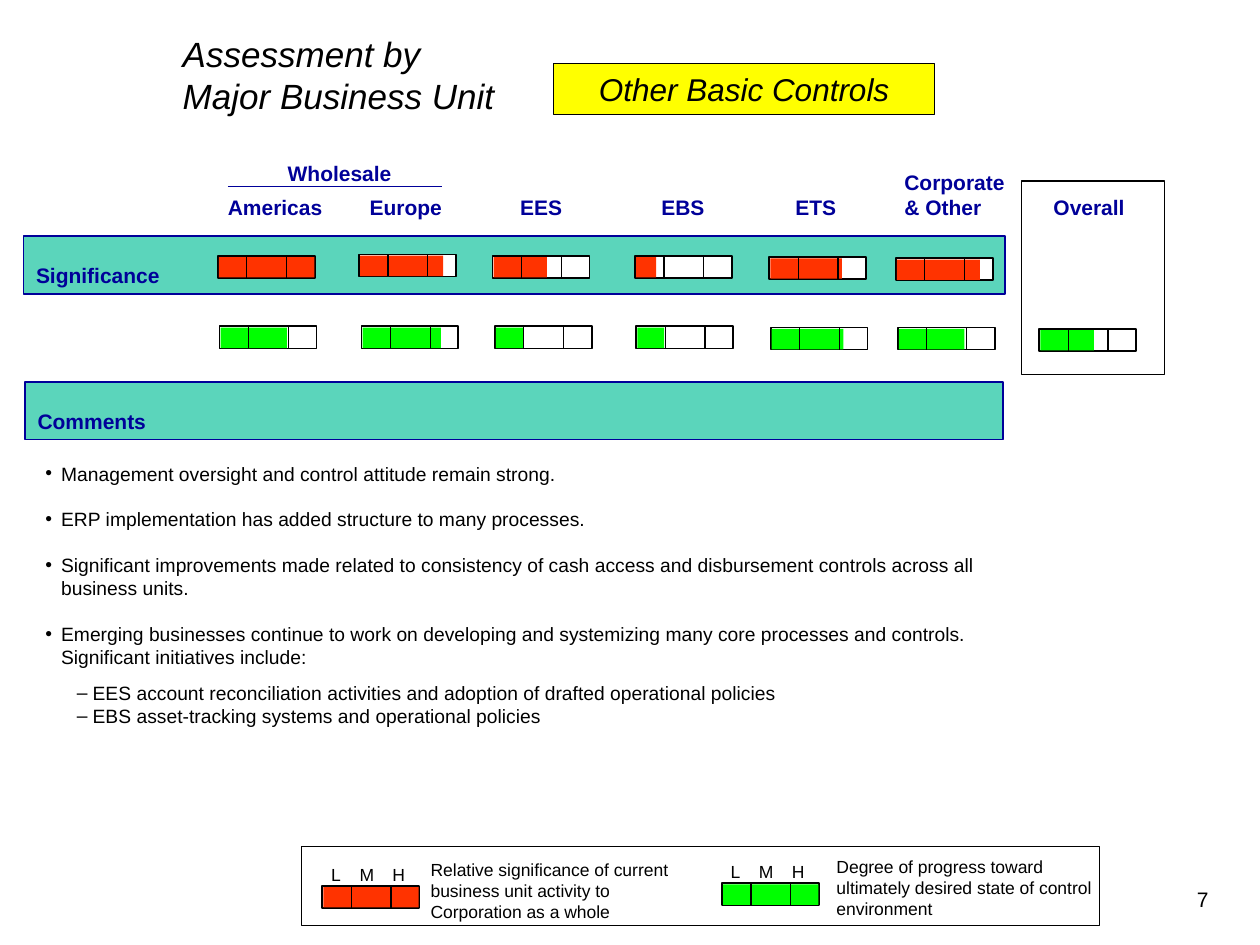
from dataclasses import dataclass

from lxml import etree
from pptx import Presentation
from pptx.dml.color import RGBColor
from pptx.enum import shapes, text
from pptx.oxml import ns
from pptx.util import Pt

COLORS = {
    "black": "000000", "white": "FFFFFF", "navy": "000099", "teal": "5BD5BB",
    "yellow": "FFFF00", "red": "FF3300", "green": "00FF00",
}
FONT = "Arial"
GAUGE_W, GAUGE_H = 55.4, 12.6
DIVIDERS = (16.5, 39.3)


@dataclass
class Box:
    left: float
    top: float
    width: float
    height: float

    def lengths(self):
        return Pt(self.left), Pt(self.top), Pt(self.width), Pt(self.height)


@dataclass
class Gauge:
    left: float
    top: float
    filled: float
    color: str


@dataclass
class Comment:
    words: str
    level: int = 0
    before: float = 0


def rgb(name: str) -> RGBColor:
    return RGBColor.from_string(COLORS[name])


def write(tf, *lines, size=12, color="black", bold=False, italic=False,
          align=text.PP_ALIGN.LEFT, spacing=None, tabs=()):
    tf.word_wrap = True
    tf.auto_size = text.MSO_AUTO_SIZE.NONE
    tf.vertical_anchor = text.MSO_ANCHOR.TOP
    for i, line in enumerate(lines):
        p = tf.paragraphs[0] if i == 0 else tf.add_paragraph()
        p.alignment = align
        p.space_before = Pt(0)
        if spacing:
            p.line_spacing = spacing
        if tabs:
            stops = etree.SubElement(p._p.get_or_add_pPr(), ns.qn("a:tabLst"))
            for stop in tabs[i]:
                etree.SubElement(stops, ns.qn("a:tab"), pos=str(Pt(stop)), algn="l")
        r = p.add_run()
        r.text = line
        r.font.name, r.font.size = FONT, Pt(size)
        r.font.bold, r.font.italic = bold, italic
        r.font.color.rgb = rgb(color)


def add_text(s, box: Box, *lines, **fmt):
    write(s.shapes.add_textbox(*box.lengths()).text_frame, *lines, **fmt)


def add_rect(s, box: Box, fill=None, line=None, weight=0.75):
    sp = s.shapes.add_shape(shapes.MSO_SHAPE.RECTANGLE, *box.lengths())
    sp.shadow.inherit = False
    if fill:
        sp.fill.solid()
        sp.fill.fore_color.rgb = rgb(fill)
    else:
        sp.fill.background()
    if line:
        sp.line.color.rgb = rgb(line)
        sp.line.width = Pt(weight)
    else:
        sp.line.fill.background()
    return sp


def add_line(s, x1: float, y1: float, x2: float, y2: float, color="black", weight=0.75):
    cxn = s.shapes.add_connector(shapes.MSO_CONNECTOR.STRAIGHT, Pt(x1), Pt(y1), Pt(x2), Pt(y2))
    cxn.line.color.rgb = rgb(color)
    cxn.line.width = Pt(weight)
    etree.SubElement(cxn._element.spPr, ns.qn("a:effectLst"))


def add_gauge(s, g: Gauge):
    add_rect(s, Box(g.left, g.top, GAUGE_W, GAUGE_H), "white", "black", 1)
    add_rect(s, Box(g.left + 0.6, g.top + 0.7, g.filled, GAUGE_H - 0.9), g.color)
    for x in DIVIDERS:
        add_line(s, g.left + x, g.top + 0.5, g.left + x, g.top + GAUGE_H)


def add_comments(sp, comments: list[Comment]):
    tf = sp.text_frame
    write(tf, *(c.words for c in comments), size=11)
    for p, c in zip(tf.paragraphs, comments):
        p.level = c.level
        p.space_before = Pt(c.before)
        pPr = p._p.get_or_add_pPr()
        pPr.set("marL", str(Pt(9 + 18 * c.level)))
        pPr.set("indent", str(Pt(-9)))
        etree.SubElement(pPr, ns.qn("a:buChar"), char="•–"[c.level])


def place(sp, box: Box):
    sp.left, sp.top, sp.width, sp.height = box.lengths()
    return sp


GAUGES = [
    Gauge(124.5, 146.2, 54.5, "red"),
    Gauge(205.2, 145.4, 47.5, "red"),
    Gauge(281.5, 146.2, 30.4, "red"),
    Gauge(362.9, 146.2, 11.5, "red"),
    Gauge(439.6, 146.9, 41, "red"),
    Gauge(511.9, 147.6, 47.5, "red"),
    Gauge(125.5, 186.5, 37.8, "green"),
    Gauge(206.6, 186.5, 44.8, "green"),
    Gauge(282.8, 186.5, 15.4, "green"),
    Gauge(363.6, 186.5, 15.4, "green"),
    Gauge(440.4, 187.2, 41, "green"),
    Gauge(513.1, 187.2, 37.4, "green"),
    Gauge(593.9, 187.9, 30.6, "green"),
    Gauge(184.2, 506.2, 54.5, "red"),
    Gauge(412.6, 504.7, 54.5, "green"),
]
BANDS = [
    ("Significance", Box(13.5, 135, 561, 33)),
    ("Comments", Box(14.4, 218.2, 558.7, 33)),
]
LEGENDS = [
    (Box(182.2, 490.3, 64, 19.4), Box(239, 487.4, 159.1, 43.2),
     "Relative significance of current business unit activity to Corporation as a whole"),
    (Box(410.4, 488.2, 64, 19.4), Box(470.9, 485.5, 173.5, 43.2),
     "Degree of progress toward ultimately desired state of control environment"),
]
COMMENTS = [
    Comment("Management oversight and control attitude remain strong."),
    Comment("ERP implementation has added structure to many processes.", before=13),
    Comment("Significant improvements made related to consistency of cash access and "
            "disbursement controls across all business units.", before=13),
    Comment("Emerging businesses continue to work on developing and systemizing many core "
            "processes and controls. Significant initiatives include:", before=13),
    Comment("EES account reconciliation activities and adoption of drafted operational "
            "policies", 1, 7),
    Comment("EBS asset-tracking systems and operational policies", 1),
]


def main():
    prs = Presentation()
    prs.slide_width, prs.slide_height = Pt(720), Pt(540)
    s = prs.slides.add_slide(prs.slide_layouts[1])

    title = place(s.shapes.title, Box(97.2, 15.1, 444.2, 54.7))
    write(title.text_frame, "Assessment by", "Major Business Unit", size=20, italic=True)
    add_comments(place(s.placeholders[1], Box(18.7, 260.3, 554.4, 172.8)), COMMENTS)

    badge = add_rect(s, Box(316.4, 36.5, 217.7, 28.8), "yellow", "black")
    write(badge.text_frame, "Other Basic Controls", size=18, italic=True,
          align=text.PP_ALIGN.CENTER)

    heading = {"color": "navy", "bold": True}
    add_text(s, Box(132.5, 88.2, 123.1, 21.6), "Wholesale",
             align=text.PP_ALIGN.CENTER, **heading)
    add_line(s, 130.3, 106.6, 252.7, 106.6, "navy", 1)
    add_text(s, Box(69.1, 93.4, 600, 36), "\tCorporate",
             "\tAmericas\tEurope\tEES\tEBS\tETS\t& Other\tOverall",
             tabs=[(440.6,), (54, 135, 221, 301.7, 378.3, 440.6, 525.8)], **heading)

    for label, box in BANDS:
        write(add_rect(s, box, "teal", "navy", 1).text_frame, label, spacing=1.8, **heading)
    add_rect(s, Box(583.6, 103.5, 82, 110.7), line="black")
    add_rect(s, Box(172.4, 483.8, 455.8, 45), line="black")
    for g in GAUGES:
        add_gauge(s, g)
    for scale, box, words in LEGENDS:
        add_text(s, scale, "L\tM\tH", size=10, tabs=[(16.2, 35)])
        add_text(s, box, words, size=10)
    add_text(s, Box(676.8, 502.8, 20.9, 21.6), "7")

    prs.save("out.pptx")


if __name__ == "__main__":
    main()
